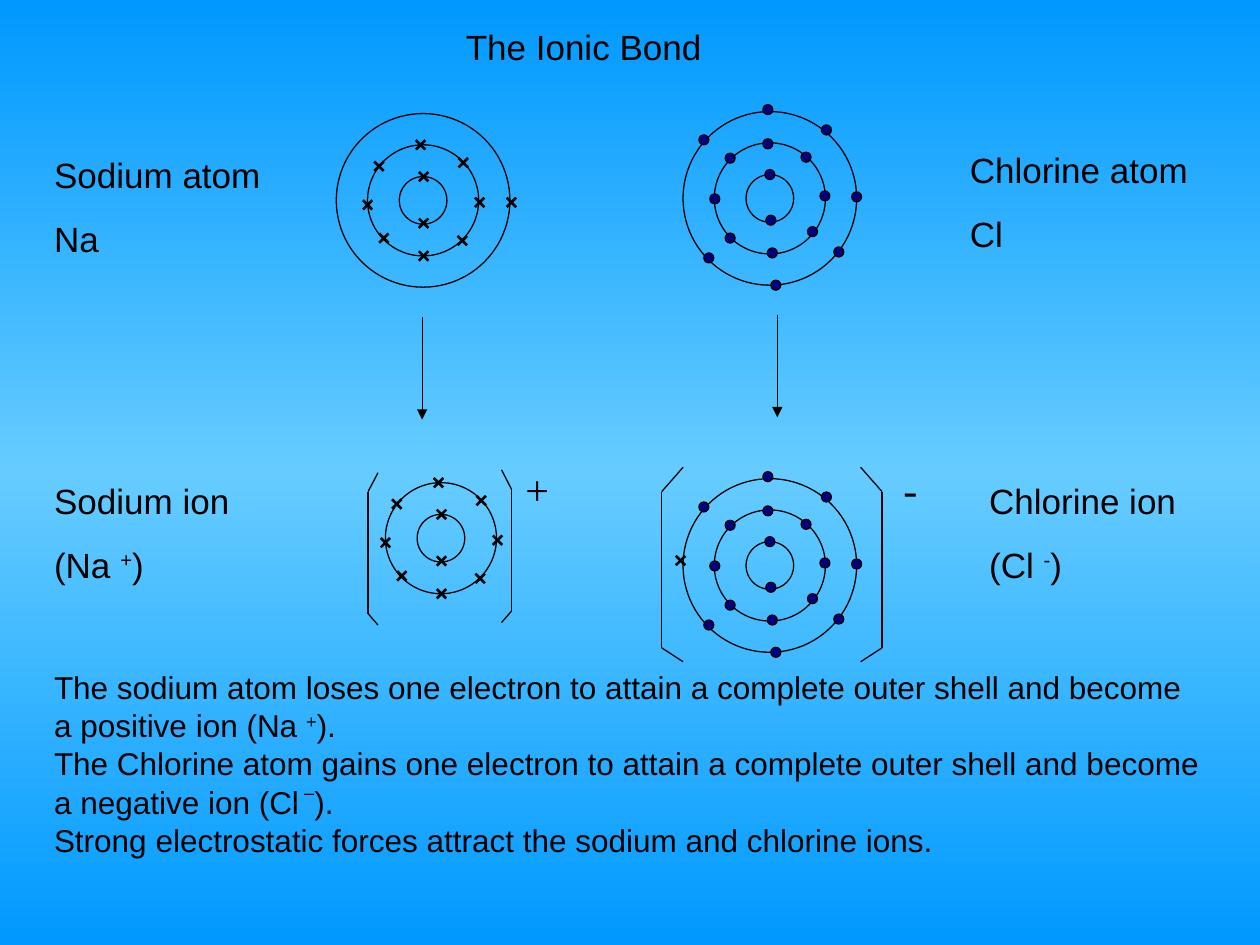
import copy
from dataclasses import dataclass

import pptx
import pptx.dml.color
import pptx.enum.shapes
import pptx.enum.text
import pptx.oxml.ns
import pptx.util
from lxml import etree
from pptx.util import Cm

Point = tuple[float, float]
BLACK, NAVY = "000000", "000080"
SHELL_DIAMETERS = (0.96, 2.24, 3.5)
DOT_SIZE, CROSS_SIZE = 0.2, 0.19

# Electron positions in cm from the nucleus
SODIUM_CORE = (
    (0.01, -0.48), (0.01, 0.46),
    (-0.05, -1.12), (0.81, -0.76), (1.14, 0.04), (0.79, 0.81),
    (0.01, 1.12), (-0.79, 0.76), (-1.12, 0.09), (-0.89, -0.69),
)
SODIUM_VALENCE = (1.78, 0.04)
CHLORINE = (
    (0, -0.48), (0.02, 0.44),
    (-0.04, -1.1), (0.73, -0.83), (1.11, -0.05), (0.86, 0.67),
    (0.05, 1.1), (-0.8, 0.8), (-1.11, 0.01), (-0.8, -0.81),
    (-0.04, -1.79), (1.14, -1.38), (1.75, -0.03), (1.39, 1.08),
    (0.12, 1.75), (-1.23, 1.2), (-1.33, -1.18),
)
GAINED_ELECTRON = (-1.8, -0.1)


@dataclass(frozen=True)
class Atom:
    centre: Point
    shells: int
    dots: tuple[Point, ...] = ()
    crosses: tuple[Point, ...] = ()


@dataclass(frozen=True)
class Bracket:
    spine_x: float
    lip_x: float
    ys: tuple[float, float, float, float]


@dataclass(frozen=True)
class Piece:
    text: str
    baseline: int = 0


@dataclass(frozen=True)
class Caption:
    box: tuple[float, float, float, float]
    paragraphs: tuple[tuple[Piece, ...], ...]
    size: int = 20
    font: str = "Arial"
    margins: Point = (0.25, 0.13)


def rgb(value: str) -> pptx.dml.color.RGBColor:
    return pptx.dml.color.RGBColor.from_string(value)


def paint_background(slide) -> None:
    fill = slide.background.fill
    fill.gradient()
    fill.gradient_angle = 270
    first = fill.gradient_stops[0]._gs
    first.addnext(copy.deepcopy(first))
    for stop, position, color in zip(
        fill.gradient_stops, (0, 0.5, 1), ("0099FF", "66CCFF", "0099FF")
    ):
        stop.position = position
        stop.color.rgb = rgb(color)


def draw_line(shapes, start: Point, end: Point, width: float = 0.75, arrow: bool = False) -> None:
    line = shapes.add_connector(
        pptx.enum.shapes.MSO_CONNECTOR.STRAIGHT, *(Cm(v) for v in (*start, *end))
    )
    line.line.color.rgb = rgb(BLACK)
    line.line.width = pptx.util.Pt(width)
    if arrow:
        tail = etree.SubElement(line.line._get_or_add_ln(), pptx.oxml.ns.qn("a:tailEnd"))
        tail.set("type", "triangle")
    etree.SubElement(line._element.spPr, pptx.oxml.ns.qn("a:effectLst"))


def draw_circle(shapes, centre: Point, diameter: float, color: str | None = None) -> None:
    x, y = (v - diameter / 2 for v in centre)
    circle = shapes.add_shape(
        pptx.enum.shapes.MSO_SHAPE.OVAL, Cm(x), Cm(y), Cm(diameter), Cm(diameter)
    )
    circle.shadow.inherit = False
    if color:
        circle.fill.solid()
        circle.fill.fore_color.rgb = rgb(color)
    else:
        circle.fill.background()
    circle.line.color.rgb = rgb(BLACK)
    circle.line.width = pptx.util.Pt(0.75)


def draw_atom(slide, atom: Atom) -> None:
    shapes = slide.shapes.add_group_shape().shapes
    cx, cy = atom.centre
    for diameter in SHELL_DIAMETERS[:atom.shells]:
        draw_circle(shapes, atom.centre, diameter)
    for dx, dy in atom.dots:
        draw_circle(shapes, (cx + dx, cy + dy), DOT_SIZE, NAVY)
    half = CROSS_SIZE / 2
    for dx, dy in atom.crosses:
        x, y = cx + dx, cy + dy
        for rise in (half, -half):
            draw_line(shapes, (x - half, y - rise), (x + half, y + rise), 1.5)


def draw_bracket(slide, bracket: Bracket) -> None:
    shapes = slide.shapes.add_group_shape().shapes
    xs = (bracket.lip_x, bracket.spine_x, bracket.spine_x, bracket.lip_x)
    corners = list(zip(xs, bracket.ys))
    for start, end in zip(corners, corners[1:]):
        draw_line(shapes, start, end)


def write_caption(slide, caption: Caption) -> None:
    frame = slide.shapes.add_textbox(*(Cm(v) for v in caption.box)).text_frame
    frame.word_wrap = True
    frame.auto_size = pptx.enum.text.MSO_AUTO_SIZE.SHAPE_TO_FIT_TEXT
    frame.margin_left = frame.margin_right = Cm(caption.margins[0])
    frame.margin_top = frame.margin_bottom = Cm(caption.margins[1])
    for index, pieces in enumerate(caption.paragraphs):
        paragraph = frame.add_paragraph() if index else frame.paragraphs[0]
        if index:
            paragraph.space_before = pptx.util.Pt(12.5)
        for piece in pieces:
            for line_number, text in enumerate(piece.text.split("\n")):
                if line_number:
                    paragraph.add_line_break()
                run = paragraph.add_run()
                run.text = text
                run.font.size = pptx.util.Pt(caption.size)
                run.font.name = caption.font
                run.font.color.rgb = rgb(BLACK)
                if piece.baseline:
                    run._r.get_or_add_rPr().set("baseline", str(piece.baseline * 1000))


ATOMS = (
    Atom((8.53, 4.04), 3, crosses=(*SODIUM_CORE, SODIUM_VALENCE)),
    Atom((8.89, 10.85), 2, crosses=SODIUM_CORE),
    Atom((15.52, 4.0), 3, dots=CHLORINE),
    Atom((15.52, 11.4), 3, dots=CHLORINE, crosses=(GAINED_ELECTRON,)),
)
CHLORINE_BRACKET_YS = (9.42, 9.91, 13.06, 13.34)
BRACKETS = (
    Bracket(7.42, 7.62, (9.53, 9.91, 12.37, 12.6)),
    Bracket(10.31, 10.11, (9.47, 9.86, 12.32, 12.55)),
    Bracket(13.34, 13.77, CHLORINE_BRACKET_YS),
    Bracket(17.78, 17.35, CHLORINE_BRACKET_YS),
)
ARROW_STARTS = ((8.51, 6.4), (15.67, 6.35))
ARROW_LENGTH = 2.06
EXPLANATION = (
    Piece("The sodium atom loses one electron to attain a complete outer shell "
          "and become a positive ion (Na "),
    Piece("+", 30),
    Piece("). \nThe Chlorine atom gains one electron to attain a complete outer shell "
          "and become a negative ion (Cl"),
    Piece(" –", 46),
    Piece(").\nStrong electrostatic forces attract the sodium and chlorine ions."),
)
CAPTIONS = (
    Caption((9.14, 0.38, 6.99, 1.12), ((Piece("The Ionic Bond"),),)),
    Caption((0.84, 2.97, 5.08, 2.39), ((Piece("Sodium atom"),), (Piece("Na"),))),
    Caption((0.84, 9.53, 5.08, 2.39),
            ((Piece("Sodium ion"),), (Piece("(Na "), Piece("+", 30), Piece(")")))),
    Caption((19.3, 2.87, 5.08, 2.39), ((Piece("Chlorine atom"),), (Piece("Cl"),))),
    Caption((19.69, 9.53, 5.08, 2.39),
            ((Piece("Chlorine ion"),), (Piece("(Cl "), Piece("-", 30), Piece(")")))),
    Caption((0.84, 13.34, 23.7, 4.09), (EXPLANATION,), size=18),
    Caption((10.59, 9.35, 0.74, 1.02), ((Piece("+"),),), 24, "Times New Roman", (0, 0)),
    Caption((18.21, 9.35, 0.74, 1.02), ((Piece("-"),),), 24, "Times New Roman", (0, 0)),
)


def main() -> None:
    deck = pptx.Presentation()
    deck.slide_width, deck.slide_height = Cm(25.4), Cm(19.05)
    slide = deck.slides.add_slide(deck.slide_layouts[6])
    paint_background(slide)
    for atom in ATOMS:
        draw_atom(slide, atom)
    for x, y in ARROW_STARTS:
        draw_line(slide.shapes, (x, y), (x, y + ARROW_LENGTH), arrow=True)
    for bracket in BRACKETS:
        draw_bracket(slide, bracket)
    for caption in CAPTIONS:
        write_caption(slide, caption)
    deck.save("out.pptx")


if __name__ == "__main__":
    main()
